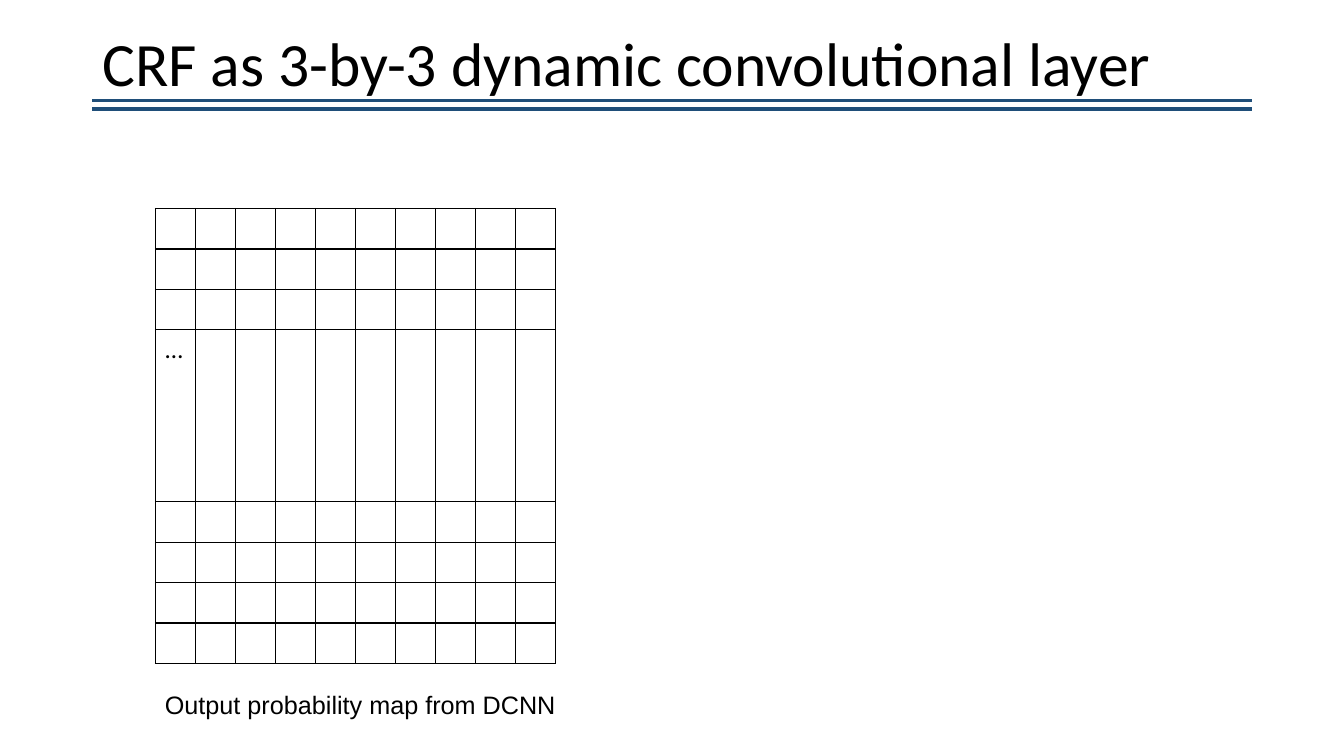
import pptx
import pptx.dml.color
import pptx.enum.shapes
import pptx.enum.text
import pptx.oxml
import pptx.oxml.ns
import pptx.util
from lxml import etree
from pptx.util import Pt

BLACK = pptx.dml.color.RGBColor(0x00, 0x00, 0x00)
NAVY = pptx.dml.color.RGBColor(0x1F, 0x4E, 0x79)
COLUMN_WIDTHS = [28.6] * 10
ROW_HEIGHTS = [28.8] * 3 + [123] + [28.8] * 4
ELLIPSIS_ROW = 3


class SlideBuilder:
    heading_font = "Calibri"
    caption_font = "Arial"

    def __init__(self, presentation):
        self.slide = presentation.slides.add_slide(presentation.slide_layouts[5])

    def format_runs(self, paragraph, font_name, size):
        for run in paragraph.runs:
            run.font.name = font_name
            run.font.size = Pt(size)
            run.font.color.rgb = BLACK

    def rule(self, left, right, top, width):
        connector = self.slide.shapes.add_connector(
            pptx.enum.shapes.MSO_CONNECTOR.STRAIGHT, Pt(left), Pt(top), Pt(right), Pt(top))
        connector.line.color.rgb = NAVY
        connector.line.width = Pt(width)
        etree.SubElement(connector._element.spPr, pptx.oxml.ns.qn("a:effectLst"))

    def title(self, text, left, top, width, height):
        shape = self.slide.shapes.title
        shape.left, shape.top, shape.width, shape.height = map(Pt, (left, top, width, height))
        frame = shape.text_frame
        frame.text = text
        frame.auto_size = pptx.enum.text.MSO_AUTO_SIZE.NONE
        frame.vertical_anchor = pptx.enum.text.MSO_ANCHOR.MIDDLE
        paragraph = frame.paragraphs[0]
        paragraph.alignment = pptx.enum.text.PP_ALIGN.LEFT
        paragraph.line_spacing = 0.9
        self.format_runs(paragraph, self.heading_font, 44)

    def caption(self, text, left, top, width, height):
        shape = self.slide.shapes.add_textbox(*map(Pt, (left, top, width, height)))
        frame = shape.text_frame
        frame.text = text
        frame.word_wrap = False
        frame.auto_size = pptx.enum.text.MSO_AUTO_SIZE.SHAPE_TO_FIT_TEXT
        paragraph = frame.paragraphs[0]
        paragraph.alignment = pptx.enum.text.PP_ALIGN.CENTER
        self.format_runs(paragraph, self.caption_font, 18)

    def border_cell(self, cell):
        cell.fill.background()
        properties = cell._tc.get_or_add_tcPr()
        for position, side in enumerate(("lnL", "lnR", "lnT", "lnB")):
            border = pptx.oxml.parse_xml(
                f'<a:{side} {pptx.oxml.ns.nsdecls("a")} w="{Pt(1)}"><a:solidFill>'
                f'<a:srgbClr val="{BLACK}"/></a:solidFill></a:{side}>')
            properties.insert(position, border)

    def grid(self, left, top, column_widths, row_heights):
        table = self.slide.shapes.add_table(
            len(row_heights), len(column_widths), Pt(left), Pt(top),
            Pt(sum(column_widths)), Pt(sum(row_heights))).table
        table.first_row = False
        table.horz_banding = False
        for column, width in zip(table.columns, column_widths):
            column.width = Pt(width)
        for row, height in zip(table.rows, row_heights):
            row.height = Pt(height)
        for cell in table.iter_cells():
            self.border_cell(cell)
        return table


def main():
    presentation = pptx.Presentation()
    presentation.slide_width = Pt(960)
    presentation.slide_height = Pt(540)

    builder = SlideBuilder(presentation)
    builder.rule(66, 894, 78, 3)
    builder.rule(66, 894, 72, 2.25)
    builder.title("CRF as 3-by-3 dynamic convolutional layer", 66, -4.5, 828, 104.4)
    builder.caption("Output probability map from DCNN", 109.4, 489, 296, 29)

    probability_map = builder.grid(111, 149, COLUMN_WIDTHS, ROW_HEIGHTS)
    ellipsis_cell = probability_map.cell(ELLIPSIS_ROW, 0)
    ellipsis_cell.text_frame.text = "…"
    builder.format_runs(ellipsis_cell.text_frame.paragraphs[0], builder.heading_font, 18)

    presentation.save("out.pptx")


if __name__ == "__main__":
    main()
